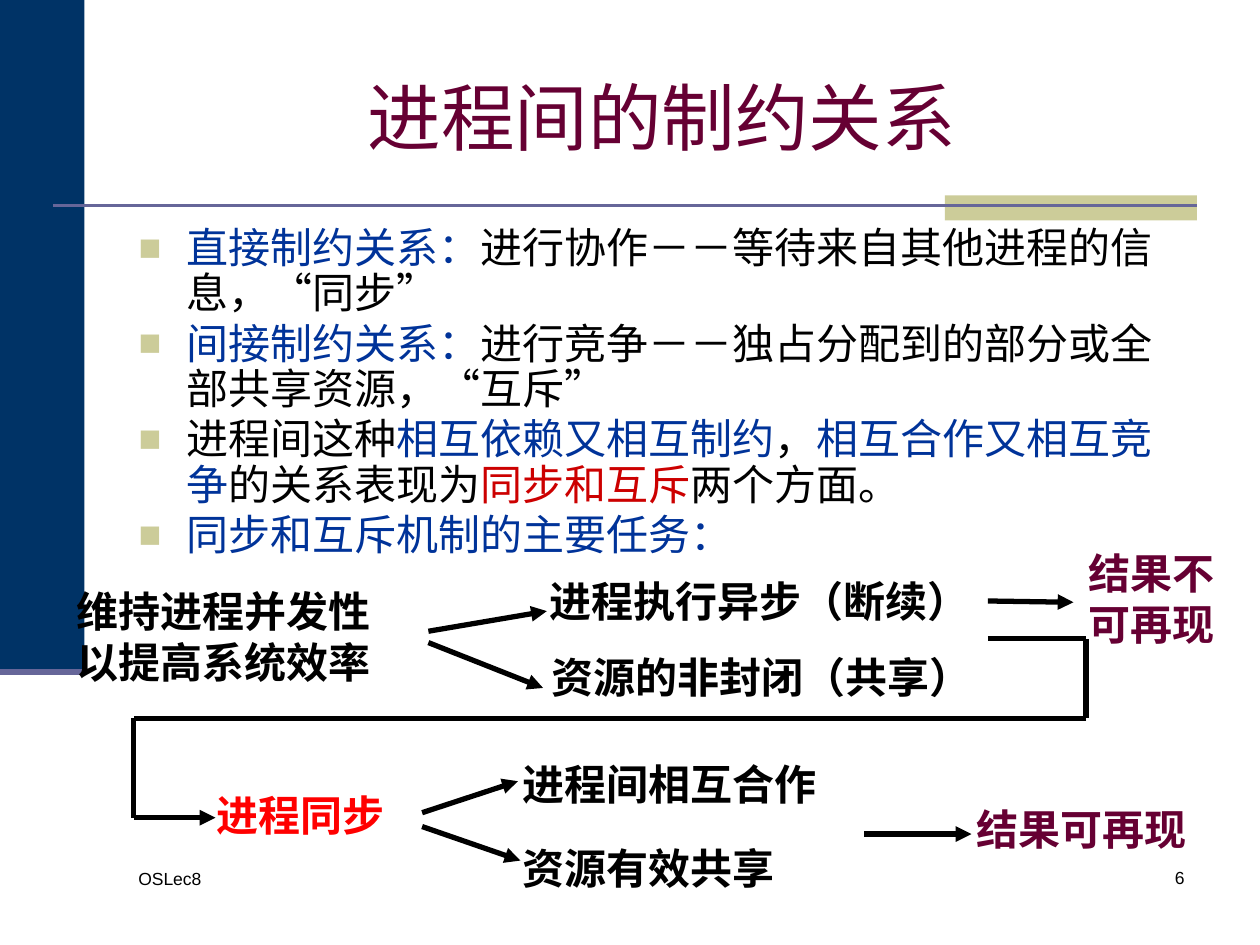
"""Build the slide on constraint relations between processes."""
import dataclasses
import itertools

import lxml.etree
import pptx
import pptx.dml.color
import pptx.enum.shapes
import pptx.enum.text
import pptx.oxml.ns
import pptx.util

RGBColor = pptx.dml.color.RGBColor
BLACK = RGBColor(0x00, 0x00, 0x00)
NAVY = RGBColor(0x00, 0x33, 0x66)
SAND = RGBColor(0xCC, 0xCC, 0x99)
SLATE = RGBColor(0x66, 0x66, 0x99)
PLUM = RGBColor(0x66, 0x00, 0x33)
BLUE = RGBColor(0x00, 0x33, 0x99)
CRIMSON = RGBColor(0xCC, 0x00, 0x00)
RED = RGBColor(0xFF, 0x00, 0x00)
FONT = "Arial"
ALIGN = pptx.enum.text.PP_ALIGN
AUTO_SIZE = pptx.enum.text.MSO_AUTO_SIZE
Point = tuple[float, float]


@dataclasses.dataclass(frozen=True)
class Label:
    lines: tuple[str, ...]
    left: float
    top: float
    width: float
    height: float = 0.5
    color: RGBColor = BLACK
    size: float = 24
    bold: bool = True
    wrap: bool = False
    align: ALIGN = ALIGN.LEFT
    fit: AUTO_SIZE = AUTO_SIZE.SHAPE_TO_FIT_TEXT


@dataclasses.dataclass(frozen=True)
class Band:
    left: float
    top: float
    width: float
    height: float
    color: RGBColor


@dataclasses.dataclass(frozen=True)
class Route:
    points: tuple[Point, ...]
    color: RGBColor = BLACK
    weight: float = 3
    arrow: bool = True


BANDS = (Band(0, 0, 0.67, 5.33, NAVY), Band(7.5, 1.55, 2, 0.2, SAND))
RULES = (
    Route(((0.42, 1.63), (9.5, 1.63)), SLATE, 1.5, False),
    Route(((0, 5.33), (0.67, 5.33)), SLATE, 3.5, False),
)
BULLETS = (
    (("直接制约关系：", BLUE), ("进行协作－－等待来自其他进程的信息，“同步”", BLACK)),
    (("间接制约关系：", BLUE), ("进行竞争－－独占分配到的部分或全部共享资源，“互斥”", BLACK)),
    (
        ("进程间这种", BLACK),
        ("相互依赖又相互制约", BLUE),
        ("，", BLACK),
        ("相互合作又相互竞争", BLUE),
        ("的关系表现为", BLACK),
        ("同步和互斥", CRIMSON),
        ("两个方面。", BLACK),
    ),
    (("同步和互斥机制的主要任务：", BLUE),),
)
FOOTER = Label(("OSLec8",), 1, 6.84, 2.17, size=10, bold=False, wrap=True, fit=AUTO_SIZE.NONE)
LABELS = (
    FOOTER,
    dataclasses.replace(FOOTER, lines=("6",), left=7.42, top=6.83, width=2.08, align=ALIGN.RIGHT),
    Label(("维持进程并发性", "以提高系统效率"), 0.51, 4.6, 2.54, 0.9),
    Label(("进程执行异步（断续）",), 4.26, 4.52, 3.54),
    Label(("资源的非封闭（共享）",), 4.28, 5.12, 3.54),
    Label(("结果不可再现",), 8.54, 4.3, 1.5, 0.9, PLUM, wrap=True),
    Label(("进程同步",), 1.62, 6.22, 1.54, color=RED),
    Label(("进程间相互合作",), 4.05, 5.97, 2.54),
    Label(("资源有效共享",), 4.05, 6.64, 2.21),
    Label(("结果可再现",), 7.65, 6.33, 1.88, color=PLUM),
)
ROUTES = (
    Route(((3.4, 5.01), (4.34, 4.85))),
    Route(((3.4, 5.1), (4.31, 5.46))),
    Route(((7.84, 4.77), (8.52, 4.78))),
    Route(((3.35, 6.45), (4.11, 6.2))),
    Route(((3.35, 6.56), (4.13, 6.83))),
    Route(((6.86, 6.62), (7.71, 6.62))),
    Route(((7.84, 5.07), (8.62, 5.07), (8.62, 5.7), (1.06, 5.7), (1.06, 6.49), (1.71, 6.49))),
)


def inches(*lengths: float) -> list[int]:
    return [pptx.util.Inches(length) for length in lengths]


def add_child(parent, tag: str, **attributes: str):
    return lxml.etree.SubElement(parent, pptx.oxml.ns.qn(tag), attributes)


def draw_band(page, band: Band) -> None:
    shape = page.shapes.add_shape(
        pptx.enum.shapes.MSO_SHAPE.RECTANGLE,
        *inches(band.left, band.top, band.width, band.height),
    )
    shape.shadow.inherit = False
    shape.fill.solid()
    shape.fill.fore_color.rgb = band.color
    shape.line.fill.background()


def draw_route(page, route: Route) -> None:
    for start, end in itertools.pairwise(route.points):
        line = page.shapes.add_connector(
            pptx.enum.shapes.MSO_CONNECTOR.STRAIGHT, *inches(*start, *end)
        )
        line.line.color.rgb = route.color
        line.line.width = pptx.util.Pt(route.weight)
        if route.arrow and end == route.points[-1]:
            add_child(line.line._get_or_add_ln(), "a:tailEnd", type="triangle")
        add_child(line._element.spPr, "a:effectLst")


def set_font(para, size: float, color: RGBColor | None = None, bold: bool = False) -> None:
    para.font.name = FONT
    para.font.size = pptx.util.Pt(size)
    para.font.bold = bold
    if color is not None:
        para.font.color.rgb = color


def draw_label(page, label: Label) -> None:
    box = page.shapes.add_textbox(*inches(label.left, label.top, label.width, label.height))
    frame = box.text_frame
    frame.word_wrap = label.wrap
    frame.auto_size = label.fit
    frame.text = "\n".join(label.lines)
    for para in frame.paragraphs:
        para.alignment = label.align
        set_font(para, label.size, label.color, label.bold)


def place(holder, left: float, top: float, width: float, height: float):
    holder.left, holder.top, holder.width, holder.height = inches(left, top, width, height)
    holder.text_frame.auto_size = AUTO_SIZE.NONE
    return holder.text_frame


def fill_title(page) -> None:
    frame = place(page.shapes.title, 1, 0.3, 8.5, 1.25)
    frame.vertical_anchor = pptx.enum.text.MSO_ANCHOR.MIDDLE
    frame.text = "进程间的制约关系"
    para = frame.paragraphs[0]
    para.alignment = ALIGN.CENTER
    set_font(para, 42, PLUM)


def set_bullet(para) -> None:
    properties = para._p.get_or_add_pPr()
    indent = pptx.util.Inches(0.38)
    properties.set("marL", str(indent))
    properties.set("indent", str(-indent))
    add_child(add_child(properties, "a:buClr"), "a:srgbClr", val=str(SAND))
    add_child(properties, "a:buSzPct", val="90000")
    add_child(properties, "a:buFont", typeface=FONT)
    add_child(properties, "a:buChar", char="■")


def fill_body(page) -> None:
    frame = place(page.placeholders[1], 1, 1.75, 8.5, 4.95)
    for index, spans in enumerate(BULLETS):
        para = frame.add_paragraph() if index else frame.paragraphs[0]
        set_bullet(para)
        para.line_spacing = 0.9
        para.space_before = pptx.util.Pt(3)
        set_font(para, 24)
        for text, color in spans:
            span = para.add_run()
            span.text = text
            span.font.color.rgb = color


def main() -> None:
    deck = pptx.Presentation()
    deck.slide_width, deck.slide_height = inches(10, 7.5)
    page = deck.slides.add_slide(deck.slide_layouts[1])
    for band in BANDS:
        draw_band(page, band)
    for route in RULES + ROUTES:
        draw_route(page, route)
    fill_title(page)
    fill_body(page)
    for label in LABELS:
        draw_label(page, label)
    deck.save("out.pptx")


main()
